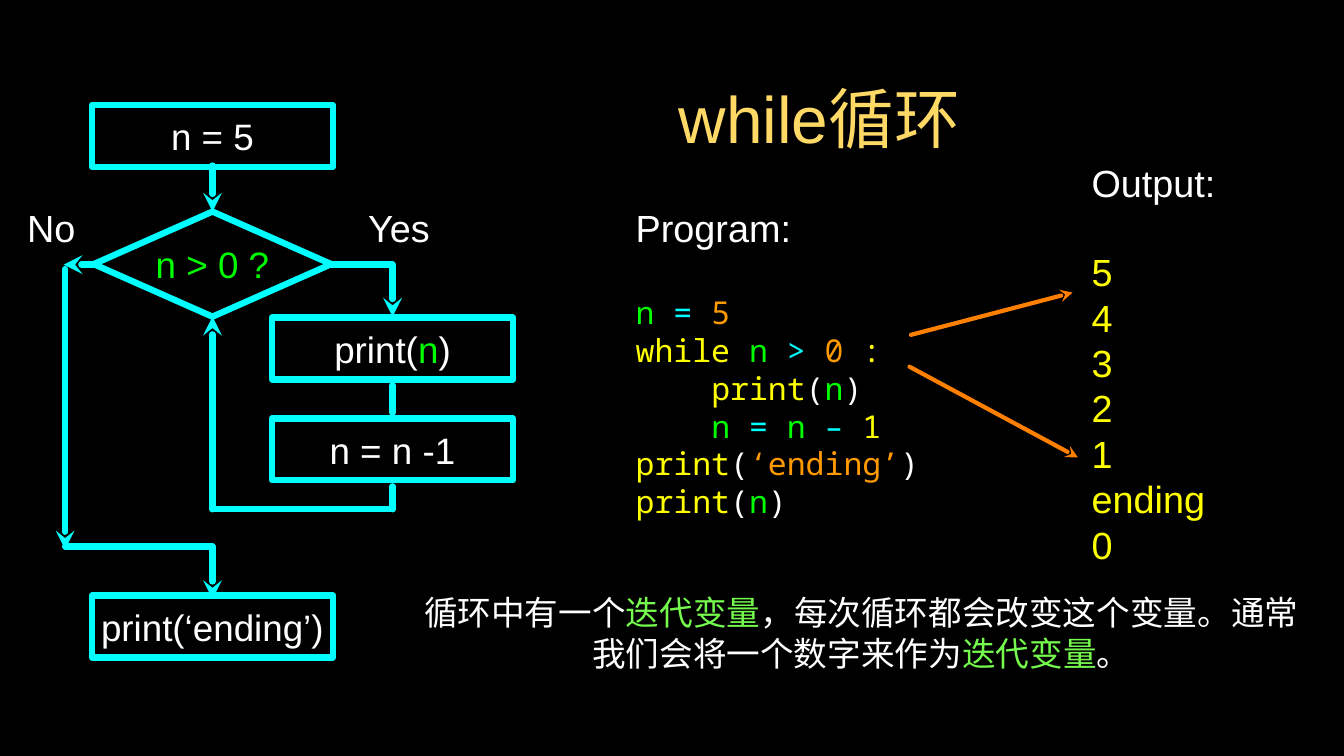
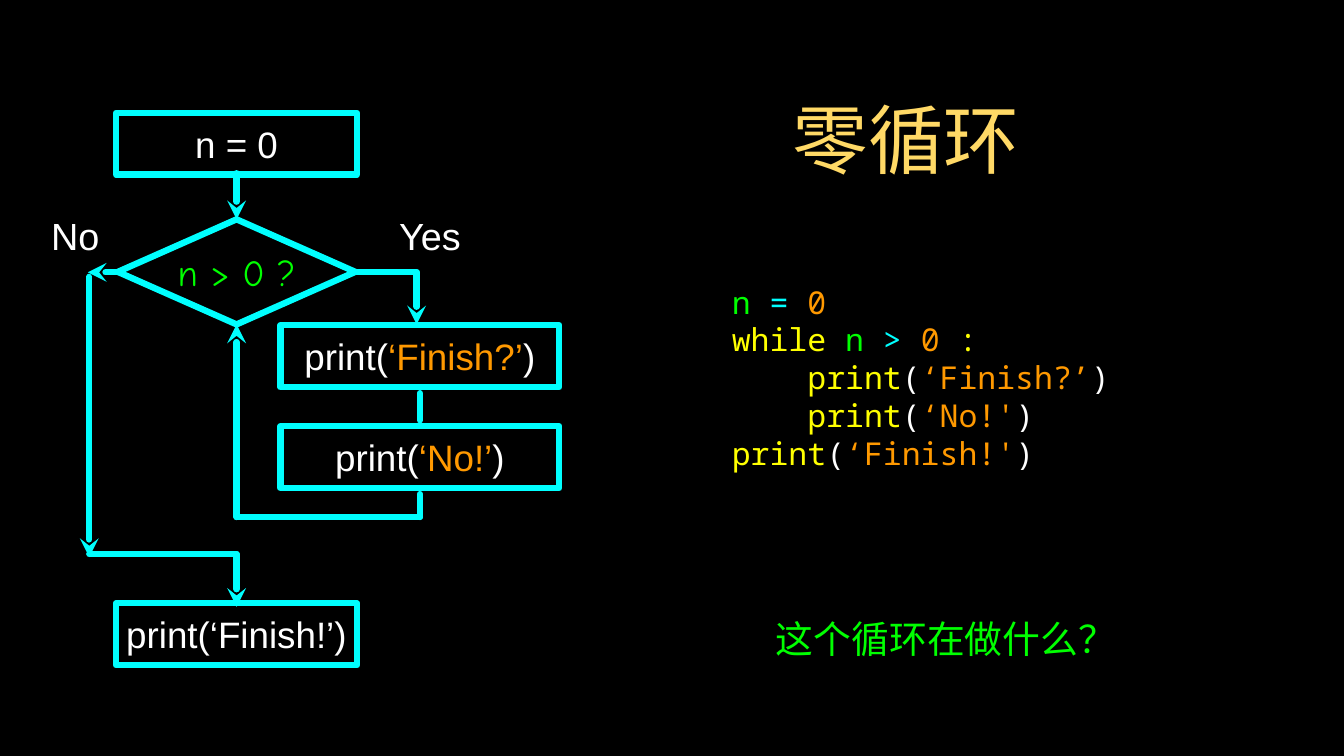
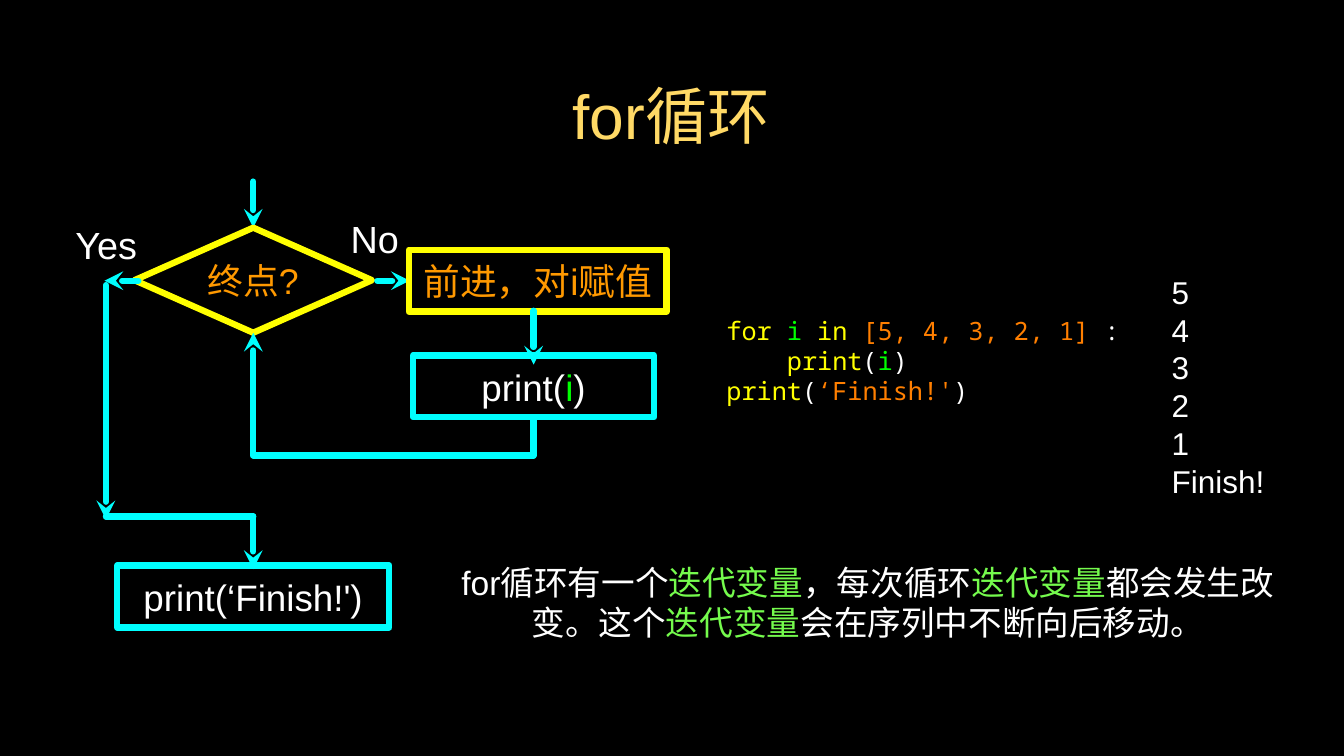
from dataclasses import dataclass
from itertools import pairwise

from lxml import etree
from pptx import Presentation
from pptx.dml.color import RGBColor
from pptx.enum.shapes import MSO_CONNECTOR, MSO_SHAPE
from pptx.enum.text import MSO_ANCHOR, PP_ALIGN
from pptx.oxml.ns import qn
from pptx.util import Cm, Pt

RECTANGLE, DIAMOND = MSO_SHAPE.RECTANGLE, MSO_SHAPE.DIAMOND
STRAIGHT = MSO_CONNECTOR.STRAIGHT
MIDDLE = MSO_ANCHOR.MIDDLE
LEFT, CENTER = PP_ALIGN.LEFT, PP_ALIGN.CENTER


@dataclass(frozen=True)
class Theme:
    black: str = "000000"
    white: str = "FFFFFF"
    gold: str = "FFD966"
    cyan: str = "00FFFF"
    green: str = "00FF00"
    lime: str = "75FB4D"
    yellow: str = "FFFF00"
    amber: str = "FF9900"
    orange: str = "FF7F00"
    sans: str = "Arial"
    mono: str = "Noto Sans Mono"
    comic: str = "Comic Neue"
    label: float = 36
    node: float = 35
    note: float = 32
    code: float = 30
    small_code: float = 24
    flow_line: float = 6
    pointer_line: float = 4


THEME = Theme()
WHITE, CYAN, GREEN, LIME = THEME.white, THEME.cyan, THEME.green, THEME.lime
YELLOW, AMBER, ORANGE = THEME.yellow, THEME.amber, THEME.orange

# Flow chart measures in cm, counted from the top corner of the diamond
DIAMOND_WIDTH, DIAMOND_HEIGHT = 7.98, 3.53
NODE_WIDTH, NODE_HEIGHT = 8.1, 2.08
SIDE_LEVEL = 1.78
EXIT_X = -4.95


# Text: a line is a list of (words, colour) spans

def write_line(para, line, size, font=THEME.sans, align=LEFT):
    para.alignment = align
    para.font.size, para.font.name = Pt(size), font
    colours = {colour for _, colour in line}
    if len(colours) == 1:
        para.font.color.rgb = RGBColor.from_string(colours.pop())
    for words, colour in line:
        span = para.add_run()
        span.text = words
        if len(line) > 1:
            span.font.color.rgb = RGBColor.from_string(colour)


def prepare_frame(frame, wrap):
    frame.word_wrap = wrap
    frame.vertical_anchor = MIDDLE
    frame.margin_left = frame.margin_right = 0
    frame.margin_top = frame.margin_bottom = 0


def add_text(page, box, lines, size, font=THEME.sans, align=LEFT):
    frame = page.shapes.add_textbox(*map(Cm, box)).text_frame
    prepare_frame(frame, True)
    for index, line in enumerate(lines):
        para = frame.add_paragraph() if index else frame.paragraphs[0]
        write_line(para, line, size, font, align)
    return frame


def add_title(page, box, words, size):
    add_text(page, box, [[(words, THEME.gold)]], size, align=CENTER)


def indent(para, size):
    """Indent by four characters of the monospaced font."""
    para._p.get_or_add_pPr().set("marL", str(int(Pt(4 * 0.6 * size))))


def add_code(page, box, lines, size, body, heading=None):
    """Write code; body holds the numbers of the lines inside the loop."""
    frame = add_text(page, box, lines, size, THEME.mono)
    for number in body:
        indent(frame.paragraphs[number], size)
    if heading:
        first, second = frame.paragraphs[:2]
        first.font.size, first.font.name = Pt(THEME.label), THEME.sans
        second.space_before = Pt(41)


# Lines and nodes

def add_line(page, start, end, colour=CYAN, width=THEME.flow_line, arrow=False):
    line = page.shapes.add_connector(STRAIGHT, *map(Cm, (*start, *end)))
    line.line.color.rgb = RGBColor.from_string(colour)
    line.line.width = Pt(width)
    outline = line.line._get_or_add_ln()
    outline.set("cap", "rnd")
    etree.SubElement(outline, qn("a:round"))
    if arrow:
        etree.SubElement(outline, qn("a:tailEnd"), type="stealth")
    etree.SubElement(line._element.spPr, qn("a:effectLst"))


def add_route(page, origin, points, arrow=True):
    """Join points, given relative to origin; the arrow ends the last part."""
    left, top = origin
    places = [(left + x, top + y) for x, y in points]
    for start, end in pairwise(places):
        add_line(page, start, end, arrow=arrow and end == places[-1])


def add_node(page, origin, centre, top, line, width=NODE_WIDTH, height=NODE_HEIGHT,
             kind=RECTANGLE, outline=CYAN, size=THEME.node, font=THEME.sans):
    box = (origin[0] + centre - width / 2, origin[1] + top, width, height)
    node = page.shapes.add_shape(kind, *map(Cm, box))
    node.shadow.inherit = False
    node.fill.background()
    node.line.color.rgb = RGBColor.from_string(outline)
    node.line.width = Pt(THEME.flow_line)
    prepare_frame(node.text_frame, False)
    write_line(node.text_frame.paragraphs[0], line, size, font, CENTER)


def add_label(page, origin, centre, words, top=-0.18):
    width = 3
    box = (origin[0] + centre - width / 2, origin[1] + top, width, 1.45)
    add_text(page, box, [[(words, WHITE)]], THEME.label, align=CENTER)


# Flow chart regions

def add_decision(page, origin, line, **style):
    add_route(page, origin, [(0, -1.55), (0, 0)])
    add_node(page, origin, 0, 0, line, DIAMOND_WIDTH, DIAMOND_HEIGHT, DIAMOND, **style)


def add_exit(page, origin, level, line, width=NODE_WIDTH):
    """Leave the diamond on the left and run down to the closing node."""
    add_route(page, origin, [(-3.86, SIDE_LEVEL), (-5, SIDE_LEVEL)])
    add_route(page, origin, [(EXIT_X, 1.93), (EXIT_X, level + 0.1)])
    add_route(page, origin, [(EXIT_X, level), (0, level), (0, level + 1.77)])
    add_node(page, origin, 0, level + 1.65, line, width)


def add_return(page, origin, centre, top, level):
    """Lead from the last body node back to the foot of the diamond."""
    add_route(page, origin, [(centre, top), (centre, level), (0, level),
                             (0, DIAMOND_HEIGHT)])


def add_while_flow(page, origin, start, body, end, centre, width, yes_centre,
                   test_font=THEME.sans):
    tops, gap = (3.56, 6.95), 0.2
    add_node(page, origin, 0, -3.58, start)
    add_decision(page, origin, [("n > 0 ?", GREEN)], font=test_font)
    add_label(page, origin, -5.42, "No")
    add_label(page, origin, yes_centre, "Yes")
    add_route(page, origin, [(3.9, SIDE_LEVEL), (6.05, SIDE_LEVEL), (6.05, 3.53)])
    for top, line in zip(tops, body):
        add_node(page, origin, centre, top, line, width)
    add_route(page, origin, [(centre, tops[0] + NODE_HEIGHT + gap),
                             (centre, tops[1] - gap)], arrow=False)
    add_return(page, origin, centre, tops[1] + NODE_HEIGHT + gap, 10)
    add_exit(page, origin, 11.25, end)


def add_for_flow(page, origin):
    centre = 9.42
    add_decision(page, origin, [("终点?", AMBER)], outline=YELLOW, size=34)
    add_label(page, origin, -4.94, "Yes")
    add_label(page, origin, 4.08, "No", -0.36)
    add_route(page, origin, [(4.17, SIDE_LEVEL), (5.26, SIDE_LEVEL)])
    add_node(page, origin, 9.56, 0.74, [("前进，对i赋值", AMBER)], 8.66, outline=YELLOW)
    add_route(page, origin, [(centre, 2.79), (centre, 4.6)])
    add_node(page, origin, centre, 4.29, call("i", GREEN, WHITE))
    add_return(page, origin, centre, 6.38, 7.65)
    add_exit(page, origin, 9.7, [("print(‘Finish!')", WHITE)], 9.14)


# Lines of code that recur

def call(argument, colour, name_colour=YELLOW):
    if name_colour == WHITE:
        return [("print(", WHITE), (argument, colour), (")", WHITE)]
    return [("print", name_colour), ("(", WHITE), (argument, colour), (")", WHITE)]


def assign(number):
    return [("n ", GREEN), ("= ", CYAN), (number, AMBER)]


WHILE_LINE = [("while ", YELLOW), ("n ", GREEN), ("> ", CYAN), ("0", AMBER), (" :", YELLOW)]
VARIABLE = ("迭代变量", LIME)


# Slides

def build_while_slide(page):
    add_title(page, (13.16, 2.26, 28.75, 3.33), "while循环", 62.6)
    add_while_flow(page, (7.14, 7.11), [("n = 5", WHITE)],
                   [call("n", GREEN, WHITE), [("n = n -1", WHITE)]],
                   [("print(‘ending’)", WHITE)], 6.05, NODE_WIDTH, 6.27)

    # Program and its output
    decrement = [("n ", GREEN), ("= ", CYAN), ("n ", GREEN), ("–", CYAN), (" 1", YELLOW)]
    program = [[("Program:", WHITE)], assign("5"), WHILE_LINE, call("n", GREEN),
               decrement, call("‘ending’", AMBER), call("n", GREEN)]
    add_code(page, (21.36, 6.88, 11.76, 10.59), program, THEME.code, (3, 4), heading=True)
    results = ["5", "4", "3", "2", "1", "ending", "0"]
    output = add_text(page, (36.68, 5.56, 4.8, 13.28),
                      [[("Output:", WHITE)]] + [[(result, YELLOW)] for result in results],
                      THEME.label)
    output.paragraphs[1].space_before = Pt(42)
    for start, end in (((30.61, 11.25), (36.04, 9.83)), ((30.56, 12.32), (36.22, 15.37))):
        add_line(page, start, end, ORANGE, THEME.pointer_line, arrow=True)

    note = [("循环中有一个", WHITE), VARIABLE,
            ("，每次循环都会改变这个变量。通常我们会将一个数字来作为", WHITE),
            VARIABLE, ("。", WHITE)]
    add_text(page, (14.2, 19.66, 29.49, 3.18), [note], THEME.note, align=CENTER)


def build_zero_slide(page):
    add_title(page, (18.97, 2.26, 22.94, 4.78), "零循环", 72)
    add_while_flow(page, (7.95, 7.37), [("n = 0", WHITE)],
                   [call("‘Finish?’", AMBER, WHITE), call("‘No!’", AMBER, WHITE)],
                   [("print(‘Finish!’)", WHITE)], 6.16, 9.37, 6.5, THEME.comic)
    program = [assign("0"), WHILE_LINE, call("‘Finish?’", AMBER),
               call("‘No!'", AMBER), call("‘Finish!'", AMBER)]
    add_code(page, (24.59, 9.47, 13.94, 6.4), program, THEME.code, (2, 3))
    add_text(page, (23.04, 20.57, 17.5, 1.75), [[("这个循环在做什么？", GREEN)]],
             THEME.label, align=CENTER)


def build_for_slide(page):
    add_title(page, (3.2, 2.26, 38.71, 3.15), "for循环", 59.3)
    add_for_flow(page, (8.51, 7.65))
    program = [[("for ", YELLOW), ("i ", GREEN), ("in ", YELLOW),
                ("[5, 4, 3, 2, 1] ", ORANGE), (":", WHITE)],
               call("i", GREEN), call("‘Finish!'", ORANGE)]
    add_code(page, (24.41, 10.57, 14.17, 3.07), program, THEME.small_code, (1,))
    results = ["5", "4", "3", "2", "1", "Finish!"]
    add_text(page, (39.37, 9.4, 4.62, 7.16), [[(result, WHITE)] for result in results],
             THEME.code)
    note = [("for循环有一个", WHITE), VARIABLE, ("，每次循环", WHITE), VARIABLE,
            ("都会发生改变。这个", WHITE), VARIABLE, ("会在序列中不断向后移动。", WHITE)]
    add_text(page, (15.09, 18.62, 28.14, 3.2), [note], THEME.note, align=CENTER)


def main():
    deck = Presentation()
    deck.slide_width, deck.slide_height = Cm(45.16), Cm(25.4)
    backdrop = deck.slide_master.background.fill
    backdrop.solid()
    backdrop.fore_color.rgb = RGBColor.from_string(THEME.black)
    blank = deck.slide_layouts[6]
    for build in (build_while_slide, build_zero_slide, build_for_slide):
        build(deck.slides.add_slide(blank))
    deck.save("out.pptx")


if __name__ == "__main__":
    main()
